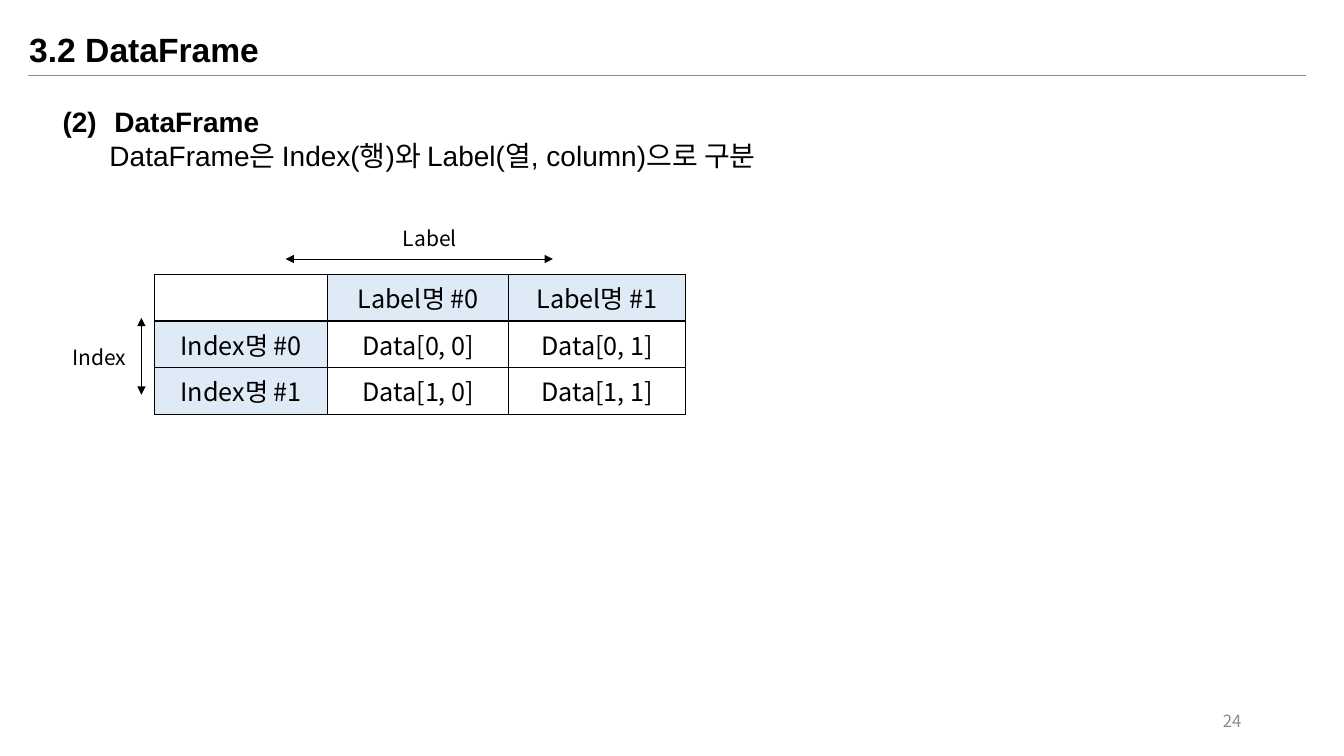
from lxml import etree
from pptx import Presentation
from pptx.dml.color import RGBColor
from pptx.enum import shapes, text
from pptx.oxml import ns
from pptx.util import Pt

COLORS = {"ink": "000000", "header": "DEEBF7", "cell": "FFFFFF", "muted": "8C8C8C"}
SANS = "Noto Sans CJK KR"
CELLS = [
    ["", "Label명 #0", "Label명 #1"],
    ["Index명 #0", "Data[0, 0]", "Data[0, 1]"],
    ["Index명 #1", "Data[1, 0]", "Data[1, 1]"],
]
COLUMN_WIDTHS = [123.5, 129.5, 126]
ROW_HEIGHT = 33.3


def color(name):
    return RGBColor.from_string(COLORS[name])


def add_xml(parent, tag, **attributes):
    return etree.SubElement(parent, ns.qn(tag), attributes)


def style_para(para, size, font=SANS, bold=False, ink="ink", align=text.PP_ALIGN.LEFT):
    para.alignment = align
    para.space_before = Pt(0)
    for span in para.runs:
        span.font.size = Pt(size)
        span.font.name = font
        span.font.bold = bold
        span.font.color.rgb = color(ink)
        add_xml(span.font._element, "a:ea", typeface=SANS)


def place(box, left, top, width, height, anchor=text.MSO_ANCHOR.TOP):
    box.left, box.top, box.width, box.height = map(Pt, (left, top, width, height))
    frame = box.text_frame
    frame.word_wrap = True
    frame.auto_size = text.MSO_AUTO_SIZE.NONE
    frame.vertical_anchor = anchor


def add_label(page, words, left, top, width, height, size, **style):
    box = page.shapes.add_textbox(0, 0, 0, 0)
    place(box, left, top, width, height, text.MSO_ANCHOR.MIDDLE)
    box.text_frame.text = words
    style_para(box.text_frame.paragraphs[0], size, **style)


def add_line(page, x1, y1, x2, y2, ink="ink", arrows=False):
    line = page.shapes.add_connector(
        shapes.MSO_CONNECTOR.STRAIGHT, Pt(x1), Pt(y1), Pt(x2), Pt(y2))
    line.line.color.rgb = color(ink)
    line.line.width = Pt(0.5)
    if arrows:
        for end in ("a:headEnd", "a:tailEnd"):
            add_xml(line.line._get_or_add_ln(), end, type="triangle")
    add_xml(line._element.spPr, "a:effectLst")


def add_borders(cell):
    properties = cell._tc.get_or_add_tcPr()
    for position, side in enumerate(("a:lnL", "a:lnR", "a:lnT", "a:lnB")):
        edge = etree.Element(ns.qn(side), w=str(Pt(1)))
        add_xml(add_xml(edge, "a:solidFill"), "a:srgbClr", val=COLORS["ink"])
        properties.insert(position, edge)


def add_frame_table(page, left, top):
    table = page.shapes.add_table(
        len(CELLS), len(COLUMN_WIDTHS), Pt(left), Pt(top),
        Pt(sum(COLUMN_WIDTHS)), Pt(ROW_HEIGHT * len(CELLS))).table
    table.first_row = table.horz_banding = False
    for column, width in zip(table.columns, COLUMN_WIDTHS):
        column.width = Pt(width)
    for r, words_in_row in enumerate(CELLS):
        table.rows[r].height = Pt(ROW_HEIGHT)
        for c, words in enumerate(words_in_row):
            cell = table.cell(r, c)
            cell.margin_left = cell.margin_right = Pt(5)
            cell.vertical_anchor = text.MSO_ANCHOR.MIDDLE
            cell.fill.solid()
            # Exactly one of row and column is the first: a header
            cell.fill.fore_color.rgb = color("header" if (r == 0) != (c == 0) else "cell")
            add_borders(cell)
            cell.text = words
            style_para(cell.text_frame.paragraphs[0], 18, align=text.PP_ALIGN.CENTER)


def fill_body(body):
    place(body, 37.5, 71.3, 677, 55.5)
    body.text_frame.text = "(2)\tDataFrame\nDataFrame은 Index(행)와 Label(열, column)으로 구분"
    heading, detail = body.text_frame.paragraphs
    for para, bold, margin, indent in ((heading, True, 37, -37), (detail, False, 33.5, 0)):
        style_para(para, 20, font="Arial", bold=bold)
        properties = para._p.get_or_add_pPr()
        properties.set("marL", str(Pt(margin)))
        properties.set("indent", str(Pt(indent)))
        add_xml(properties, "a:buNone")


def main():
    deck = Presentation()
    deck.slide_width, deck.slide_height = Pt(960), Pt(540)
    page = deck.slides.add_slide(deck.slide_layouts[1])

    # Title with rule
    title = page.shapes.title
    place(title, 13.7, 17.3, 659, 36)
    title.text_frame.text = "3.2 DataFrame"
    style_para(title.text_frame.paragraphs[0], 24, font="Arial", bold=True)
    add_line(page, 20, 54, 933, 54, ink="muted")

    # Heading and explanation
    fill_body(page.placeholders[1])

    # Table with its two axes
    add_frame_table(page, 110.5, 196)
    add_line(page, 101, 227, 101, 282, arrows=True)
    add_line(page, 204, 185, 395, 185, arrows=True)
    center = text.PP_ALIGN.CENTER
    add_label(page, "Index", 29.5, 242.5, 83, 25, 15, align=center)
    add_label(page, "Label", 273, 157.5, 68, 25, 15, align=center)

    # Page number
    add_label(page, "24", 678, 500.5, 216, 29, 12, ink="muted", align=text.PP_ALIGN.RIGHT)

    deck.save("out.pptx")


if __name__ == "__main__":
    main()
